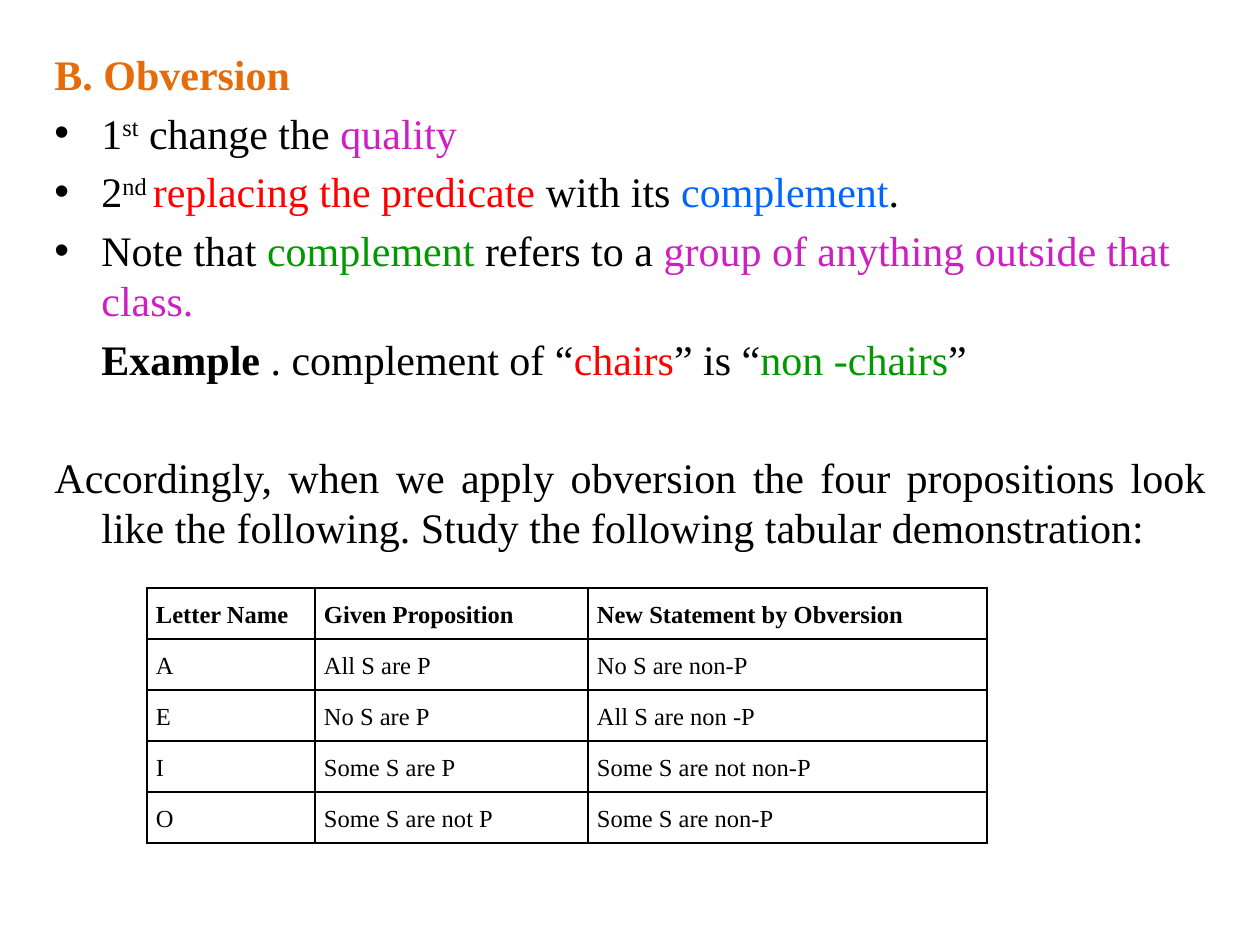
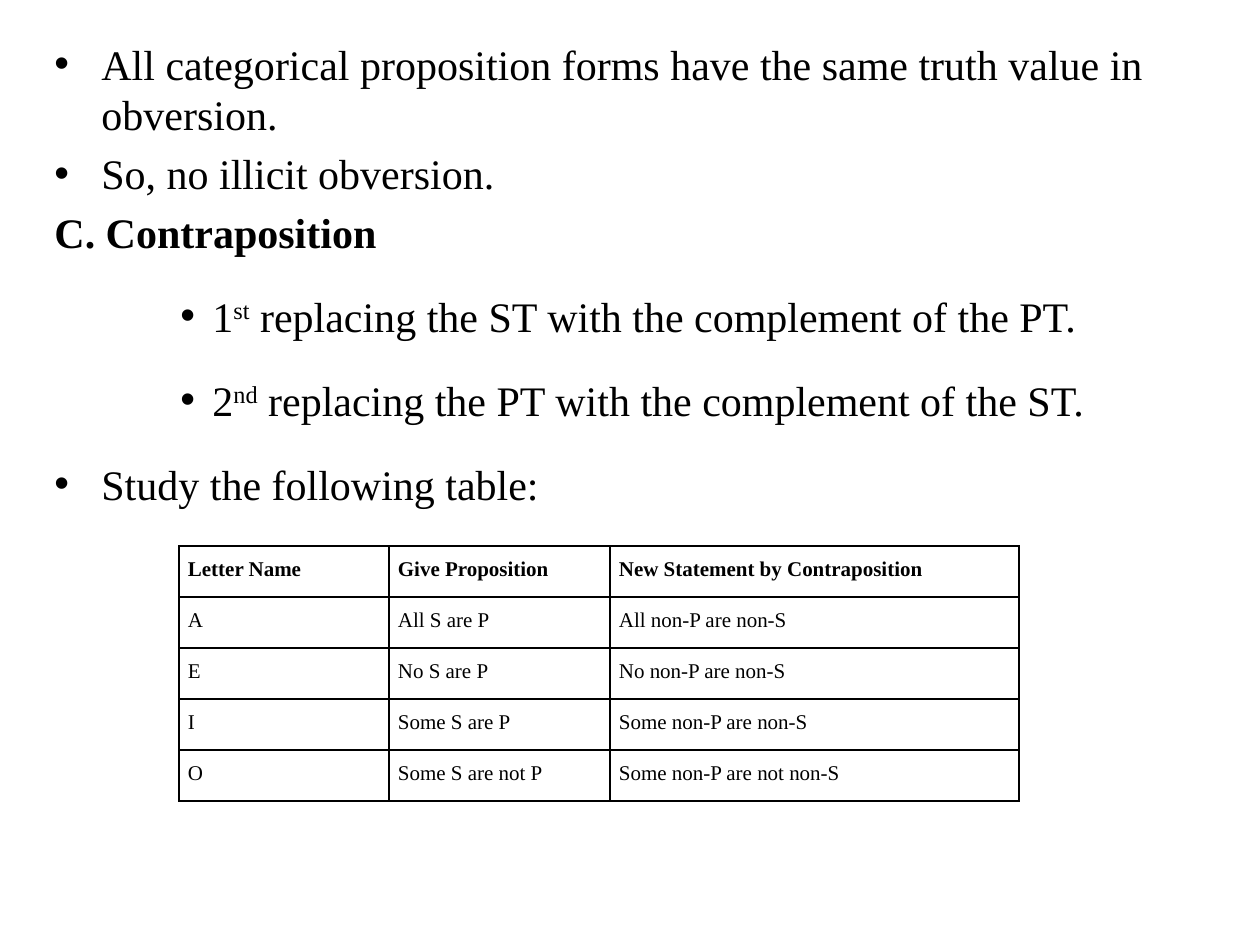
from lxml.etree import SubElement as Sub
from pptx import Presentation
from pptx.dml.color import RGBColor as RGB
from pptx.enum.text import PP_ALIGN as Align
from pptx.oxml.ns import qn
from pptx.util import Pt

FONT = "Times New Roman"
HUES = {"ink": "000000", "orange": "E46C0A", "pink": "CE20C2",
        "red": "FF0000", "blue": "0066FF", "green": "009900"}
GAP = 4.8      # points before a paragraph
ROW = 51       # height of a table row
LEFT, WIDE = 42, 1176
# left margin and first-line indent in px, bullet or not
KINDS = {"item": (47, -47, True), "head": (47, -47, False),
         "note": (47, 0, False), "sub": (158, -32, True)}


def px(n):
    """Turn px (126 to the inch) into EMU."""
    return round(n * 914400 / 126)


def style(para, size):
    para.font.name = FONT
    para.font.size = Pt(size)
    para.font.color.rgb = RGB.from_string(HUES["ink"])


# Each paragraph: kind, line spacing, space before, alignment, runs.
# Each run: text, then any of a colour name, "bold" and "sup".
pages = [
    {
        "top": 42, "tall": 861,
        "text": [
            ("head", 1, 0, Align.LEFT, [("B. Obversion", "orange", "bold")]),
            ("item", 1, GAP, Align.LEFT,
             [("1",), ("st", "sup"), (" change the ",), ("quality", "pink")]),
            ("item", 1, GAP, Align.LEFT,
             [("2",), ("nd ", "sup"), ("replacing the predicate ", "red"),
              ("with its ",), ("complement", "blue"), (".",)]),
            ("item", 1, GAP, Align.LEFT,
             [("Note that ",), ("complement", "green"), (" refers to a ",),
              ("group of anything outside that class.", "pink")]),
            ("note", 1, GAP, Align.LEFT,
             [("Example ", "bold"), (". complement of “",), ("chairs", "red"),
              ("” is “",), ("non -chairs", "green"), ("”",)]),
            ("head", 1, 38.4, Align.JUSTIFY,
             [("Accordingly, when we apply obversion the four propositions look "
               "like the following. Study the following tabular demonstration:",)]),
        ],
        "grid": (147, 588), "cols": (168, 273, 399), "size": 14,
        "rows": [
            ("Letter Name", "Given Proposition", "New Statement by Obversion"),
            ("A", "All S are P", "No S are non-P"),
            ("E", "No S are P", "All S are non -P"),
            ("I", "Some S are P", "Some S are not non-P"),
            ("O", "Some S are not P", "Some S are non-P"),
        ],
    },
    {
        "top": 32, "tall": 872,
        "text": [
            ("item", 1, 0, Align.LEFT,
             [("All categorical proposition forms have the same truth value "
               "in obversion.",)]),
            ("item", 1, GAP, Align.LEFT, [("So, no illicit obversion.",)]),
            ("head", 1, GAP, Align.LEFT, [("C. Contraposition", "bold")]),
            ("sub", 1.5, GAP, Align.LEFT,
             [("1",), ("st", "sup"),
              (" replacing the ST with the complement of the PT.",)]),
            ("sub", 1.5, GAP, Align.LEFT,
             [("2",), ("nd", "sup"),
              (" replacing the PT with the complement of the ST.",)]),
            ("item", 1.5, GAP, Align.LEFT, [("Study the following table:",)]),
        ],
        "grid": (179, 546), "cols": (210, 221, 409), "size": 12,
        "rows": [
            ("Letter Name", "Give Proposition", "New Statement by Contraposition"),
            ("A", "All S are P", "All non-P are non-S"),
            ("E", "No S are P", "No non-P are non-S"),
            ("I", "Some S are P", "Some non-P are non-S"),
            ("O", "Some S are not P", "Some non-P are not non-S"),
        ],
    },
]

deck = Presentation()
deck.slide_width, deck.slide_height = px(1260), px(945)

for page in pages:
    slide = deck.slides.add_slide(deck.slide_layouts[6])

    # Body text
    box = slide.shapes.add_textbox(px(LEFT), px(page["top"]), px(WIDE), px(page["tall"]))
    frame = box.text_frame
    frame.word_wrap = True
    for i, (kind, lead, gap, align, runs) in enumerate(page["text"]):
        para = frame.add_paragraph() if i else frame.paragraphs[0]
        left, first, dot = KINDS[kind]
        props = para._p.get_or_add_pPr()
        props.set("marL", str(px(left)))
        props.set("indent", str(px(first)))
        if dot:
            Sub(props, qn("a:buFont"), typeface="Arial")
            Sub(props, qn("a:buChar"), char="•")
        para.alignment = align
        para.line_spacing = lead
        para.space_before = Pt(gap)
        style(para, 24)
        for text, *marks in runs:
            run = para.add_run()
            run.text = text
            for mark in marks:
                if mark == "bold":
                    run.font.bold = True
                elif mark == "sup":
                    run._r.get_or_add_rPr().set("baseline", "30000")
                else:
                    run.font.color.rgb = RGB.from_string(HUES[mark])

    # Table of propositions
    x, y = page["grid"]
    cols, rows = page["cols"], page["rows"]
    table = slide.shapes.add_table(len(rows), len(cols), px(x), px(y),
                                   px(sum(cols)), px(ROW * len(rows))).table
    table.first_row = table.horz_banding = False
    for col, wide in zip(table.columns, cols):
        col.width = px(wide)
    for r, row in enumerate(rows):
        table.rows[r].height = px(ROW)
        for c, text in enumerate(row):
            cell = table.cell(r, c)
            cell.text = text
            cell.margin_left = cell.margin_right = px(9)
            cell.margin_top = cell.margin_bottom = 0
            para = cell.text_frame.paragraphs[0]
            para.alignment = Align.JUSTIFY
            para.line_spacing = 1.5
            style(para, page["size"])
            para.font.bold = r == 0
            props = cell._tc.get_or_add_tcPr()
            for side in ("lnL", "lnR", "lnT", "lnB"):
                line = Sub(props, qn("a:" + side), w=str(Pt(1)))
                fill = Sub(line, qn("a:solidFill"))
                Sub(fill, qn("a:srgbClr"), val=HUES["ink"])
            cell.fill.background()

deck.save("out.pptx")
